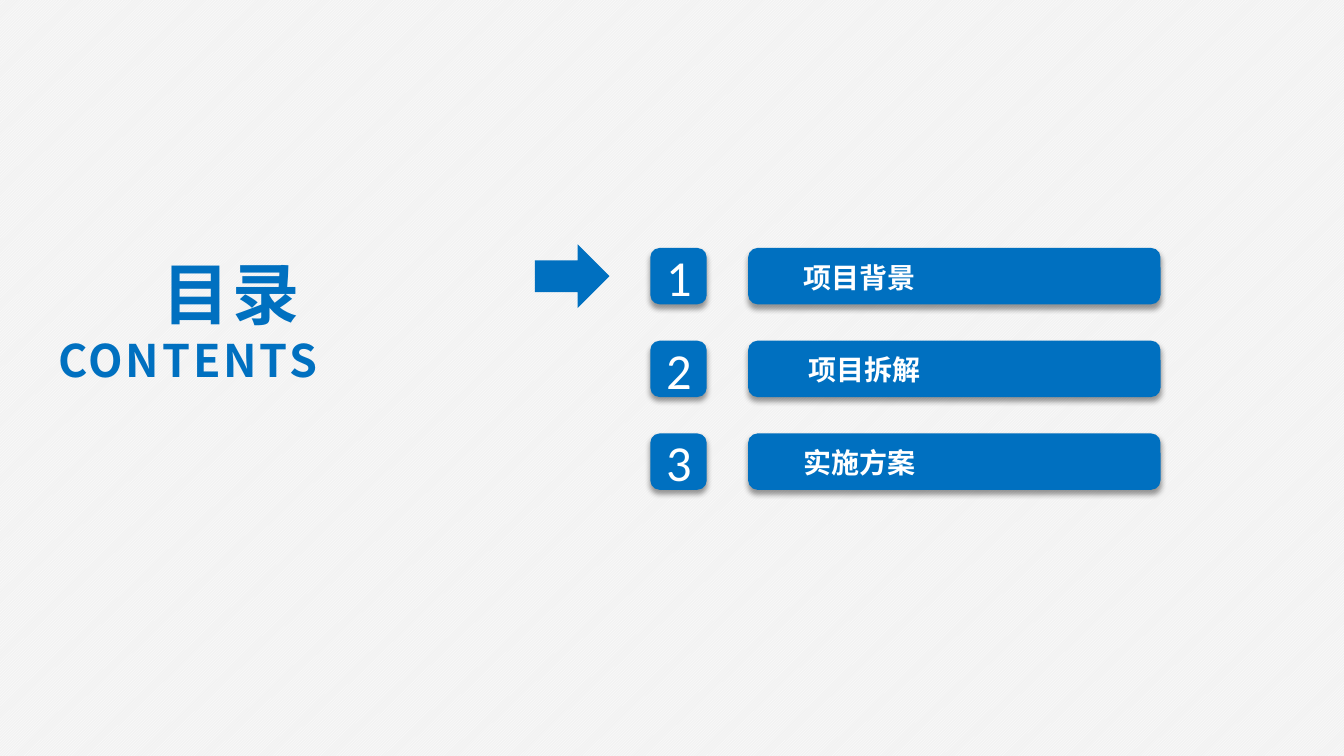
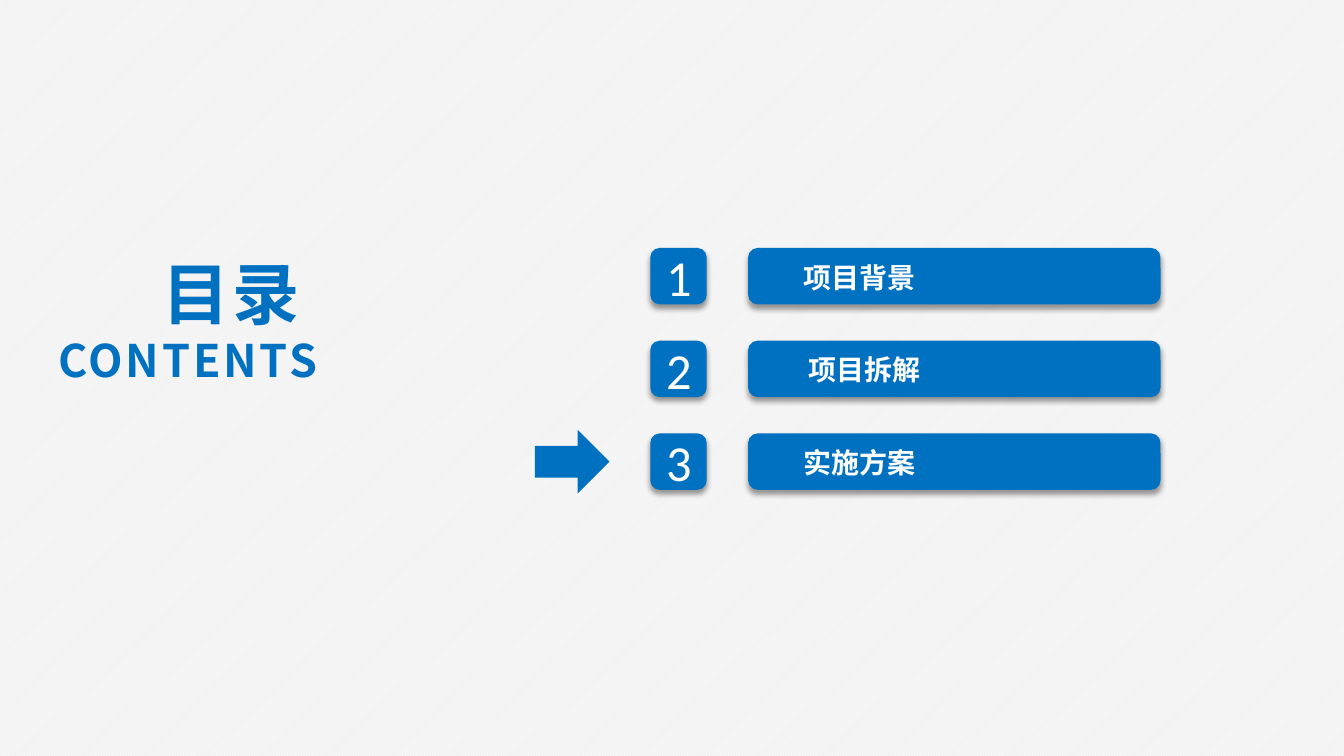
from lxml import etree
from pptx import Presentation
from pptx.dml.color import RGBColor
from pptx.enum import dml, shapes, text
from pptx.oxml import ns
from pptx.util import Inches, Pt

BLUE = RGBColor(0x00, 0x70, 0xC0)
WHITE = RGBColor(0xFF, 0xFF, 0xFF)
GREY = RGBColor(0xF2, 0xF2, 0xF2)
HEAVY = "Noto Sans CJK SC"

CHAPTERS = [("项目背景", 7.84), ("项目拆解", 7.89), ("实施方案", 7.84)]
CURRENT_CHAPTERS = [0, 2]  # chapter marked on each slide
TOP, PITCH, BAR = 2.46, 0.92, 0.56


def write(box, lines, sizes, color=WHITE, font=HEAVY, bold=True, align="LEFT",
          anchor="TOP", spacing=0):
    """Fill a shape with one paragraph per line."""
    frame = box.text_frame
    frame.word_wrap = True
    frame.margin_left = frame.margin_right = Inches(0.13)
    frame.margin_top = frame.margin_bottom = Inches(0.07)
    frame.vertical_anchor = getattr(text.MSO_ANCHOR, anchor)
    for number, (line, size) in enumerate(zip(lines, sizes)):
        para = frame.add_paragraph() if number else frame.paragraphs[0]
        para.alignment = getattr(text.PP_ALIGN, align)
        span = para.add_run()
        span.text = line
        span.font.size, span.font.bold, span.font.name = Pt(size), bold, font
        span.font.color.rgb = color
        props = span.font._element
        etree.SubElement(props, ns.qn("a:ea"), typeface=font)
        if spacing:
            props.set("spc", str(spacing * 100))


def add_blue(parent, kind, left, top, width, height, shadow=True):
    """Add a blue shape without outline, with a soft shadow below if wanted."""
    shape = parent.add_shape(kind, Inches(left), Inches(top), Inches(width), Inches(height))
    shape.fill.solid()
    shape.fill.fore_color.rgb = BLUE
    shape.line.fill.background()
    shape.shadow.inherit = False
    if shadow:
        effects = shape._element.spPr.find(ns.qn("a:effectLst"))
        outer = etree.SubElement(effects, ns.qn("a:outerShdw"), blurRad=str(Pt(4)),
                                 dist=str(Pt(3)), dir="5400000", algn="t", rotWithShape="0")
        black = etree.SubElement(outer, ns.qn("a:srgbClr"), val="000000")
        etree.SubElement(black, ns.qn("a:alpha"), val="40000")
    return shape


deck = Presentation()
deck.slide_width, deck.slide_height = Inches(13.33), Inches(7.5)

# Shared hatched background
backdrop = deck.slide_master.background.fill
backdrop.patterned()
backdrop.pattern = dml.MSO_PATTERN.LIGHT_UPWARD_DIAGONAL
backdrop.fore_color.rgb = WHITE
backdrop.back_color.rgb = GREY

for current in CURRENT_CHAPTERS:
    page = deck.slides.add_slide(deck.slide_layouts[6])

    # Numbered chapter bars
    for index, (chapter, label_left) in enumerate(CHAPTERS):
        top = TOP + index * PITCH
        badge = add_blue(page.shapes, shapes.MSO_SHAPE.ROUNDED_RECTANGLE, 6.45, top, BAR, BAR)
        write(badge, [str(index + 1)], [36], font="Calibri", bold=False,
              align="CENTER", anchor="MIDDLE")
        group = page.shapes.add_group_shape()
        add_blue(group.shapes, shapes.MSO_SHAPE.ROUNDED_RECTANGLE, 7.42, top, 4.09, BAR)
        label = group.shapes.add_textbox(Inches(label_left), Inches(top + 0.05),
                                         Inches(2.9), Inches(0.47))
        write(label, [chapter], [20])

    # Heading
    heading = page.shapes.add_textbox(Inches(0.21), Inches(2.43), Inches(3.07), Inches(1.48))
    write(heading, ["目录 ", "CONTENTS"], [48, 32], color=BLUE, align="RIGHT", spacing=2)

    # Arrow at the current chapter
    arrow = add_blue(page.shapes, shapes.MSO_SHAPE.DOWN_ARROW, 5.36,
                     TOP + current * PITCH - 0.09, 0.63, 0.74, shadow=False)
    arrow.rotation = 270

deck.save("out.pptx")
